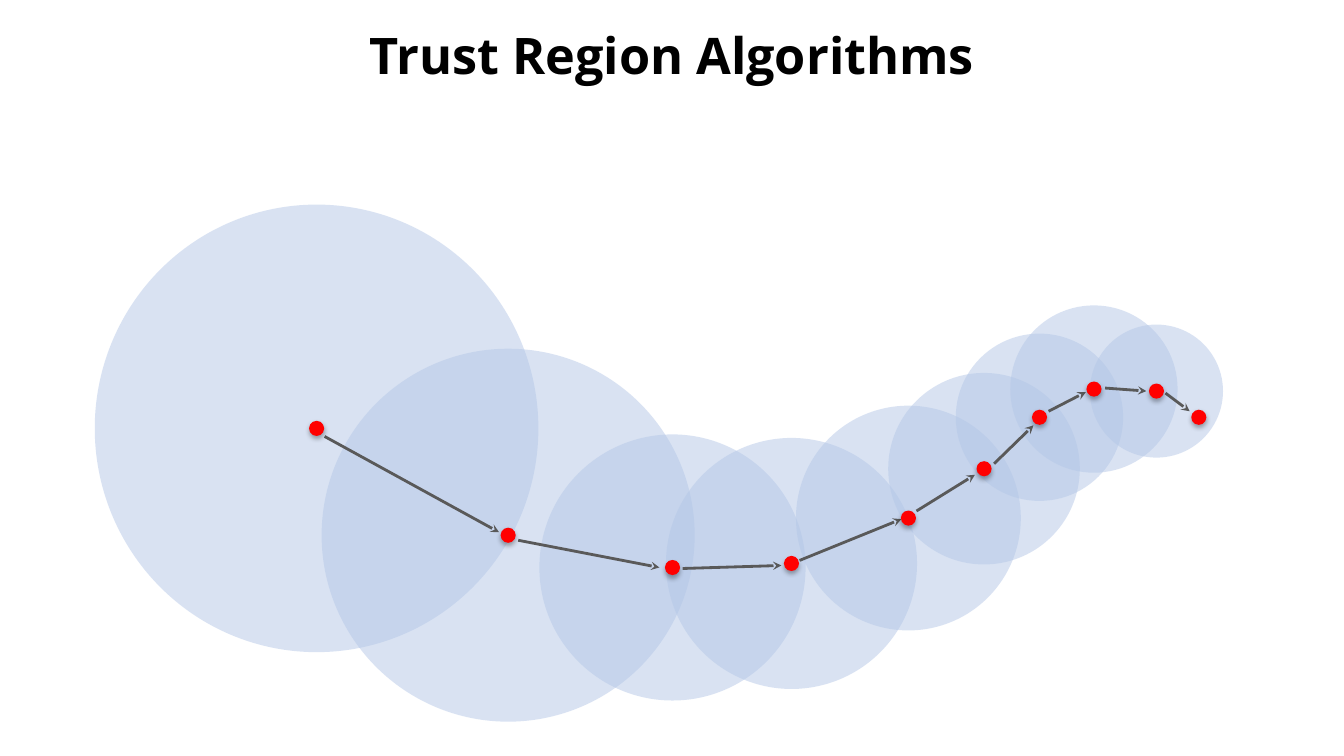
from dataclasses import dataclass

from lxml import etree
from pptx import Presentation
from pptx.dml.color import RGBColor
from pptx.enum.shapes import MSO_CONNECTOR as Connector, MSO_SHAPE as Shape
from pptx.enum.text import MSO_ANCHOR as Anchor, PP_ALIGN as Align
from pptx.oxml.ns import qn
from pptx.util import Inches, Pt


@dataclass(frozen=True)
class Theme:
    font: str = "Open Sans"
    title_size: int = 36
    title: str = "000000"
    region: str = "B4C7E7"
    region_alpha: int = 50
    point: str = "FF0000"
    point_size: float = 0.15
    arrow: str = "595959"
    arrow_width: int = 2
    shadow: str = "000000"
    shadow_alpha: int = 32


@dataclass(frozen=True)
class Box:
    left: float
    top: float
    width: float
    height: float


THEME = Theme()

# Iterates: centre within the diagram, then width and height of the region
ITERATES = [
    (2.20, 2.22, 4.40, 4.44),
    (4.10, 3.28, 3.70, 3.70),
    (5.73, 3.60, 2.64, 2.64),
    (6.91, 3.56, 2.49, 2.49),
    (8.07, 3.11, 2.23, 2.23),
    (8.82, 2.62, 1.90, 1.90),
    (9.37, 2.11, 1.66, 1.66),
    (9.91, 1.83, 1.66, 1.66),
    (10.53, 1.85, 1.32, 1.32),
]
FINAL_POINT = (10.95, 2.11)

# Steps between iterates: start and end within the diagram
STEPS = [
    (2.28, 2.30, 4.01, 3.25),
    (4.20, 3.33, 5.60, 3.60),
    (5.83, 3.61, 6.81, 3.58),
    (6.99, 3.53, 8.00, 3.12),
    (8.15, 3.04, 8.73, 2.68),
    (8.92, 2.57, 9.31, 2.19),
    (9.46, 2.05, 9.83, 1.86),
    (10.02, 1.82, 10.43, 1.85),
    (10.62, 1.87, 10.86, 2.05),
]


def add_alpha(color, percent):
    etree.SubElement(color, qn("a:alpha"), val=str(percent * 1000))


def add_disc(page, x, y, width, height, color):
    """Add a borderless ellipse centred on (x, y)."""
    disc = page.shapes.add_shape(
        Shape.OVAL, Inches(x - width / 2), Inches(y - height / 2),
        Inches(width), Inches(height))
    disc.fill.solid()
    disc.fill.fore_color.rgb = RGBColor.from_string(color)
    disc.line.fill.background()
    disc.shadow.inherit = False
    return disc


def add_region(page, x, y, width, height):
    region = add_disc(page, x, y, width, height, THEME.region)
    color = region.element.spPr.find(qn("a:solidFill")).find(qn("a:srgbClr"))
    add_alpha(color, THEME.region_alpha)


def add_point(page, x, y):
    point = add_disc(page, x, y, THEME.point_size, THEME.point_size, THEME.point)
    effects = point.element.spPr.find(qn("a:effectLst"))
    shadow = etree.SubElement(
        effects, qn("a:outerShdw"), blurRad=str(Pt(3.5)), dist=str(Pt(2.2)),
        dir="5400000", algn="ctr", rotWithShape="0")
    color = etree.SubElement(shadow, qn("a:srgbClr"), val=THEME.shadow)
    add_alpha(color, THEME.shadow_alpha)


def add_arrow(page, x1, y1, x2, y2):
    arrow = page.shapes.add_connector(
        Connector.STRAIGHT, Inches(x1), Inches(y1), Inches(x2), Inches(y2))
    arrow.line.color.rgb = RGBColor.from_string(THEME.arrow)
    arrow.line.width = Pt(THEME.arrow_width)
    properties = arrow.element.spPr
    etree.SubElement(properties.find(qn("a:ln")), qn("a:tailEnd"), type="stealth")
    etree.SubElement(properties, qn("a:effectLst"))


def add_title(page, box, text):
    title = page.shapes.title
    title.left, title.top = Inches(box.left), Inches(box.top)
    title.width, title.height = Inches(box.width), Inches(box.height)
    frame = title.text_frame
    frame.text = text
    frame.word_wrap = True
    frame.vertical_anchor = Anchor.MIDDLE
    para = frame.paragraphs[0]
    para.alignment = Align.CENTER
    para.line_spacing = 0.9
    para.font.name = THEME.font
    para.font.size = Pt(THEME.title_size)
    para.font.bold = True
    para.font.color.rgb = RGBColor.from_string(THEME.title)


def add_trust_regions(page, box):
    # Regions lie behind the steps and points
    for x, y, width, height in ITERATES:
        add_region(page, box.left + x, box.top + y, width, height)

    # Steps
    for x1, y1, x2, y2 in STEPS:
        add_arrow(page, box.left + x1, box.top + y1, box.left + x2, box.top + y2)

    # Points
    for x, y in [iterate[:2] for iterate in ITERATES] + [FINAL_POINT]:
        add_point(page, box.left + x, box.top + y)


def main():
    deck = Presentation()
    deck.slide_width, deck.slide_height = Inches(13.33), Inches(7.5)
    page = deck.slides.add_slide(deck.slide_layouts[5])
    add_title(page, Box(0, 0.01, 13.33, 1.13), "Trust Region Algorithms")
    add_trust_regions(page, Box(0.94, 2.03, 11.19, 5.13))
    deck.save("out.pptx")


if __name__ == "__main__":
    main()
